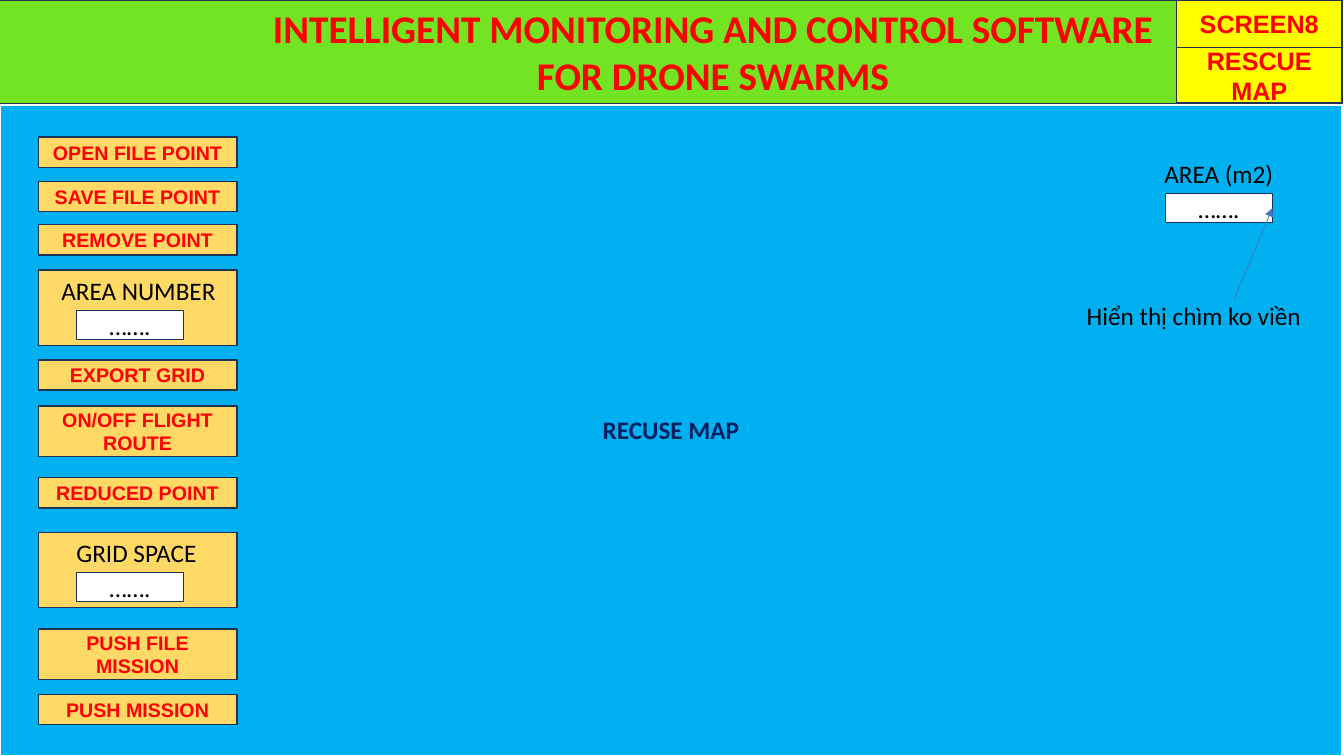
from lxml import etree
from pptx import Presentation, util as u
from pptx.dml.color import RGBColor
from pptx.enum import shapes, text
from pptx.oxml import ns

PX = 9144  # 100 px to the inch

GREEN = RGBColor(0x72, 0xE4, 0x24)
YELLOW = RGBColor(0xFF, 0xFF, 0x00)
SAND = RGBColor(0xFF, 0xD9, 0x66)
SKY = RGBColor(0x00, 0xB0, 0xF0)
WHITE = RGBColor(0xFF, 0xFF, 0xFF)
BLACK = RGBColor(0x00, 0x00, 0x00)
RED = RGBColor(0xFF, 0x00, 0x00)
NAVY = RGBColor(0x00, 0x20, 0x60)
EDGE = RGBColor(0x1E, 0x32, 0x56)
ARROW = RGBColor(0x44, 0x72, 0xC4)

MENU_LEFT, MENU_WIDTH = 38, 197
BUTTONS = [
    ("OPEN FILE POINT", 136, 30),
    ("SAVE FILE POINT", 180, 30),
    ("REMOVE POINT", 223, 30),
    ("EXPORT GRID", 357, 30),
    ("ON/OFF FLIGHT ROUTE", 403, 50),
    ("REDUCED POINT", 474, 30),
    ("PUSH FILE MISSION", 624, 50),
    ("PUSH MISSION", 689, 30),
]
FIELDS = [("AREA NUMBER", 51, 268), ("GRID SPACE", 66, 528)]


def emu(*lengths):
    return [u.Emu(length * PX) for length in lengths]


def write(frame, lines, font, size, color, bold=False, align=text.PP_ALIGN.CENTER):
    for index, line in enumerate(lines):
        para = frame.add_paragraph() if index else frame.paragraphs[0]
        para.text = line
        para.alignment = align
        para.font.name = font
        para.font.size = u.Pt(size)
        para.font.bold = bold
        para.font.color.rgb = color


def add_box(page, left, top, width, height, fill):
    box = page.shapes.add_shape(
        shapes.MSO_SHAPE.RECTANGLE, *emu(left, top, width, height))
    box.shadow.inherit = False
    box.fill.solid()
    box.fill.fore_color.rgb = fill
    box.line.color.rgb = EDGE
    box.line.width = u.Pt(1)
    box.text_frame.vertical_anchor = text.MSO_ANCHOR.MIDDLE
    return box


def add_button(page, lines, place, fill, size):
    box = add_box(page, *place, fill)
    write(box.text_frame, lines, "Arial", size, RED, bold=True)


def add_value(page, left, top):
    box = add_box(page, left, top, 106, 29, WHITE)
    write(box.text_frame, ["……."], "Calibri", 18, BLACK)
    return box


def add_label(page, label, left, top, width, wrap=True):
    box = page.shapes.add_textbox(*emu(left, top, width, 40))
    box.text_frame.word_wrap = wrap
    write(box.text_frame, [label], "Calibri", 18, BLACK, align=text.PP_ALIGN.LEFT)


def add_title(page):
    box = page.shapes.add_textbox(*emu(251, -1, 912, 104))
    box.text_frame.word_wrap = False
    lines = ["INTELLIGENT MONITORING AND CONTROL SOFTWARE", "FOR DRONE SWARMS"]
    write(box.text_frame, lines, "Calibri", 28, RED, bold=True)


def add_map(page):
    """Add the map area as a one-cell table; its style gives the white borders."""
    table = page.shapes.add_table(1, 1, *emu(0, 105, 1331, 645)).table
    cell = table.cell(0, 0)
    cell.fill.solid()
    cell.fill.fore_color.rgb = SKY
    cell.vertical_anchor = text.MSO_ANCHOR.MIDDLE
    write(cell.text_frame, ["RECUSE MAP"], "Calibri", 18, NAVY, bold=True)


def add_arrow(page, left, top, target):
    """Draw an arrow from a point to the right side of the target box."""
    start = emu(left, top)
    arrow = page.shapes.add_connector(shapes.MSO_CONNECTOR.STRAIGHT, *start, *start)
    arrow.end_connect(target, 3)
    arrow.line.color.rgb = ARROW
    arrow.line.width = u.Pt(0.5)
    etree.SubElement(arrow.line._get_or_add_ln(), ns.qn("a:tailEnd"), type="triangle")
    etree.SubElement(arrow._element.spPr, ns.qn("a:effectLst"))


def main():
    deck = Presentation()
    deck.slide_width, deck.slide_height = emu(1333, 750)
    page = deck.slides.add_slide(deck.slide_layouts[6])

    add_box(page, -2, 0, 1333, 103, GREEN)
    add_title(page)
    add_button(page, ["SCREEN8"], (1167, 0, 164, 47), YELLOW, 18)
    add_button(page, ["RESCUE", "MAP"], (1167, 47, 164, 55), YELLOW, 18)
    add_map(page)

    for label, top, height in BUTTONS:
        add_button(page, [label], (MENU_LEFT, top, MENU_WIDTH, height), SAND, 14)
    for label, left, top in FIELDS:
        add_box(page, MENU_LEFT, top, MENU_WIDTH, 75, SAND)
        add_label(page, label, left, top, 204)
        add_value(page, 76, top + 40)

    add_label(page, "AREA (m2)", 1145, 152, 204)
    area = add_value(page, 1156, 192)
    add_arrow(page, 1224, 297, area)
    add_label(page, "Hiển thị chìm ko viền", 1068, 293, 235, wrap=False)

    deck.save("out.pptx")


if __name__ == "__main__":
    main()
